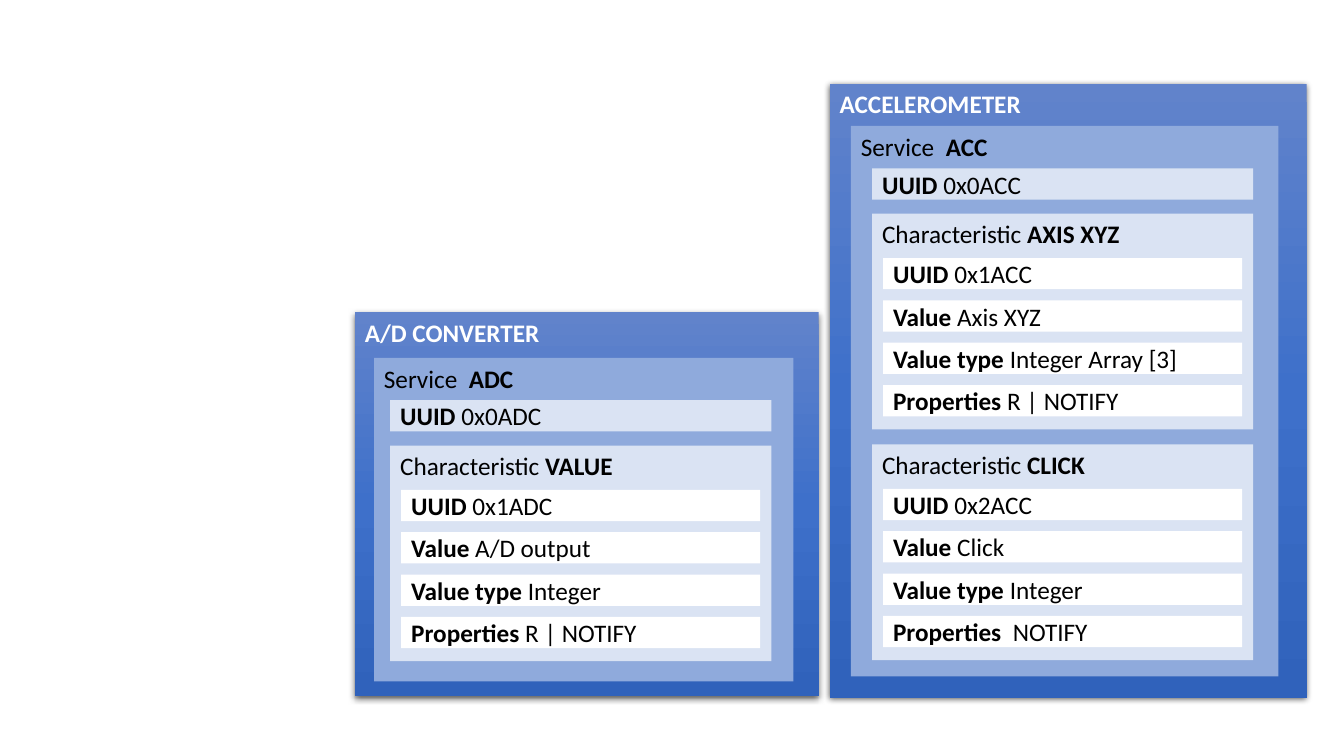
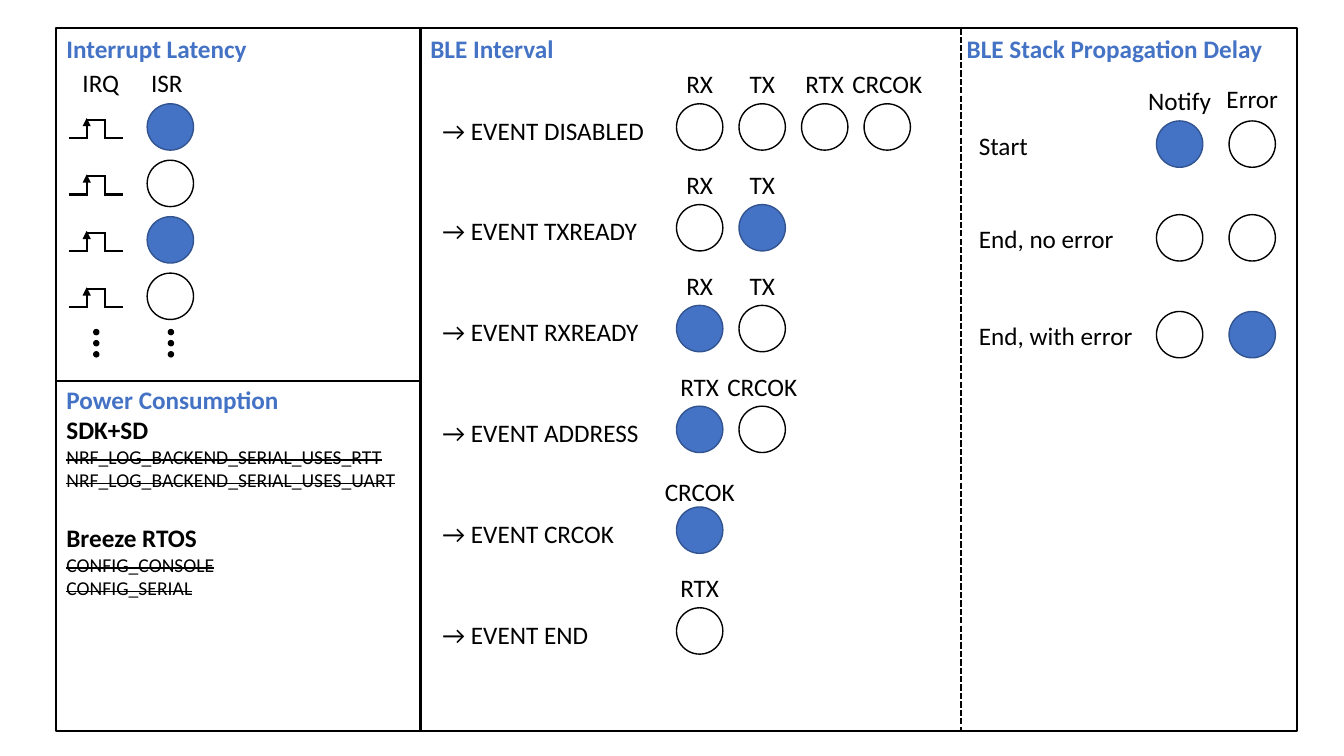
from dataclasses import dataclass

from lxml import etree
from pptx import Presentation
from pptx.dml.color import RGBColor
from pptx.enum.dml import MSO_LINE
from pptx.enum.shapes import MSO_CONNECTOR, MSO_SHAPE
from pptx.enum.text import MSO_ANCHOR, PP_ALIGN
from pptx.oxml import parse_xml
from pptx.oxml.ns import nsdecls, qn
from pptx.util import Inches, Pt

RECTANGLE, OVAL = MSO_SHAPE.RECTANGLE, MSO_SHAPE.OVAL
STRAIGHT, DASHED = MSO_CONNECTOR.STRAIGHT, MSO_LINE.SQUARE_DOT
TOP, MIDDLE = MSO_ANCHOR.TOP, MSO_ANCHOR.MIDDLE
LEFT, CENTER = PP_ALIGN.LEFT, PP_ALIGN.CENTER


@dataclass(frozen=True)
class Theme:
    font: str = "Calibri"
    body: int = 18
    small: int = 14
    black: str = "000000"
    white: str = "FFFFFF"
    accent: str = "4472C4"
    accent_edge: str = "325491"
    service: str = "8FAADC"
    characteristic: str = "DAE3F3"
    gradient: tuple = ((0, "6183CB"), (50, "3E70CA"), (100, "3062BB"))
    frame_width: float = 1.5
    lamp_width: float = 1


THEME = Theme()
BOLD = {"bold": True}
HEADING = {"bold": True, "color": THEME.accent}
STRUCK = {"size": THEME.small, "strike": True}

DEVICES = [
    {
        "name": "ACCELEROMETER", "box": (8.23, 0.83, 4.73, 6.09),
        "service": ("ACC", (8.44, 1.25, 4.24, 5.46)),
        "uuid": " 0x0ACC", "inner_left": 8.65,
        "characteristics": [
            ("AXIS XYZ", " 0x1ACC", "Axis XYZ", "Integer Array [3]", "R | NOTIFY"),
            ("CLICK", " 0x2ACC", "Click", "Integer", " NOTIFY"),
        ],
    },
    {
        "name": "A/D CONVERTER", "box": (3.52, 3.1, 4.6, 3.81),
        "service": ("ADC", (3.71, 3.55, 4.16, 3.21)),
        "uuid": " 0x0ADC", "inner_left": 3.87,
        "characteristics": [
            ("VALUE", " 0x1ADC", "A/D output", "Integer", "R | NOTIFY"),
        ],
    },
]
FIELD_NAMES = ("UUID", "Value ", "Value type ", "Properties ")

POWER_TEXT = [
    [("Power Consumption", HEADING)],
    [("SDK+SD", BOLD)],
    [("NRF_LOG_BACKEND_SERIAL_USES_RTT", STRUCK)],
    [("NRF_LOG_BACKEND_SERIAL_USES_UART", STRUCK)],
    [("Breeze RTOS", BOLD)],
    [("CONFIG_CONSOLE", STRUCK)],
    [("CONFIG_SERIAL", STRUCK)],
]
POWER_GAP = (4, 22)
PANELS = [
    ((0.56, 3.76, 3.61, 3.49), POWER_TEXT),
    ((4.17, 0.28, 8.69, 6.97), [[("BLE Interval", HEADING)]]),
    ((0.56, 0.28, 3.61, 3.5), [[("Interrupt Latency", HEADING)]]),
]
INTERRUPT_LAMPS = (True, False, True, False)
PULSE = [
    ((0, 0.34), (0.18, 0.34)),
    ((0.36, 0.15), (0.36, 0.35)),
    ((0.18, 0.16), (0.37, 0.16)),
    ((0.36, 0.34), (0.54, 0.34)),
]
PULSE_RISE = ((0.18, 0.35), (0.18, 0.14))
EVENTS = [
    ("DISABLED", 0.4, [("RX", False), ("TX", False), ("RTX", False), ("CRCOK", False)]),
    ("TXREADY", 0.4, [("RX", False), ("TX", True)]),
    ("RXREADY", 0.4, [("RX", True), ("TX", False)]),
    ("ADDRESS", 0.4, [("RTX", True), ("CRCOK", False)]),
    ("CRCOK", 0.35, [("CRCOK", True)]),
    ("END", 0.4, [("RTX", False)]),
]
DELAY_COLUMNS = [("Notify", 11.47, 0.8), ("Error", 12.19, 0.78)]
DELAY_ROWS = [
    ("Start", 1.2, (True, False)),
    ("End, no error", 2.13, (False, False)),
    ("End, with error", 3.09, (False, True)),
]
LAMP = 0.46
DOT = 0.05
FIRST_LAMP_TOP = 1.03


def rgb(value):
    return RGBColor.from_string(value)


def write(shape, paragraphs, color=THEME.black, anchor=TOP, align=LEFT, wrap=True):
    frame = shape.text_frame
    frame.word_wrap = wrap
    frame.vertical_anchor = anchor
    for index, runs in enumerate(paragraphs):
        paragraph = frame.paragraphs[0] if index == 0 else frame.add_paragraph()
        paragraph.alignment = align
        for text, style in runs:
            run = paragraph.add_run()
            run.text = text
            run.font.color.rgb = rgb(style.get("color", color))
            settings = {
                "name": THEME.font,
                "size": Pt(style.get("size", THEME.body)),
                "bold": style.get("bold", False),
            }
            for name, value in settings.items():
                setattr(run.font, name, value)
            if style.get("strike"):
                run.font._element.set("strike", "sngStrike")


def add_box(slide, box, fill, line=None, kind=RECTANGLE, width=THEME.frame_width):
    shape = slide.shapes.add_shape(kind, *map(Inches, box))
    shape.shadow.inherit = False
    shape.fill.solid()
    shape.fill.fore_color.rgb = rgb(fill)
    if line:
        shape.line.color.rgb = rgb(line)
        shape.line.width = Pt(width)
    else:
        shape.line.fill.background()
    return shape


def add_label(slide, box, text, style=None, align=LEFT):
    label = slide.shapes.add_textbox(*map(Inches, box))
    write(label, [[(text, style or {})]], align=align, wrap=False)


def add_line(slide, start, end, dash=None, arrow=False):
    connector = slide.shapes.add_connector(STRAIGHT, *map(Inches, start + end))
    connector.line.color.rgb = rgb(THEME.black)
    connector.line.width = Pt(THEME.frame_width)
    if dash:
        connector.line.dash_style = dash
    properties = connector._element.spPr
    if arrow:
        etree.SubElement(properties.find(qn("a:ln")), qn("a:tailEnd"), type="triangle")
    etree.SubElement(properties, qn("a:effectLst"))


def add_lamp(slide, left, top, lit):
    fill, edge = (THEME.accent, THEME.accent_edge) if lit else (THEME.white, THEME.black)
    add_box(slide, (left, top, LAMP, LAMP), fill, edge, OVAL, THEME.lamp_width)


def add_lamp_label(slide, lamp_left, top, text):
    width = 0.9
    left = lamp_left + (LAMP - width) / 2
    add_label(slide, (left, top, width, 0.4), text, align=CENTER)


def style_device(shape):
    properties = shape._element.spPr
    stops = "".join(
        f'<a:gs pos="{position * 1000}"><a:srgbClr val="{color}"/></a:gs>'
        for position, color in THEME.gradient
    )
    gradient = parse_xml(
        f'<a:gradFill {nsdecls("a")} rotWithShape="1"><a:gsLst>{stops}</a:gsLst>'
        '<a:lin ang="5400000" scaled="0"/></a:gradFill>'
    )
    properties.replace(properties.find(qn("a:solidFill")), gradient)
    shadow = parse_xml(
        f'<a:outerShdw {nsdecls("a")} blurRad="{Pt(4.5)}" dist="{Pt(1.5)}" dir="5400000" '
        f'algn="ctr" rotWithShape="0"><a:srgbClr val="{THEME.black}">'
        '<a:alpha val="63000"/></a:srgbClr></a:outerShdw>'
    )
    properties.find(qn("a:effectLst")).append(shadow)


def add_field(slide, left, top, width, fill, name, value):
    shape = add_box(slide, (left, top, width, 0.31), fill)
    write(shape, [[(name, BOLD), (value, {})]], anchor=MIDDLE)


def add_device(slide, device):
    outer = add_box(slide, device["box"], THEME.accent)
    style_device(outer)
    write(outer, [[(device["name"], BOLD)]], color=THEME.white)

    service_name, service_box = device["service"]
    service = add_box(slide, service_box, THEME.service)
    write(service, [[("Service  ", {}), (service_name, BOLD)]])

    left, top = device["inner_left"], service_box[1]
    add_field(slide, left, top + 0.42, 3.78, THEME.characteristic, "UUID", device["uuid"])
    for index, (name, *values) in enumerate(device["characteristics"]):
        block_top = top + 0.87 + index * 2.29
        block = add_box(slide, (left, block_top, 3.78, 2.14), THEME.characteristic)
        write(block, [[("Characteristic ", {}), (name, BOLD)]])
        for row, (field, value) in enumerate(zip(FIELD_NAMES, values)):
            field_top = block_top + 0.44 + row * 0.42
            add_field(slide, left + 0.11, field_top, 3.56, THEME.white, field, value)


def add_interrupts(slide):
    pulse_left, lamp_left = 0.68, 1.46
    add_label(slide, (0.72, 0.62, 0.57, 0.4), "IRQ")
    add_label(slide, (1.4, 0.62, 0.52, 0.4), "ISR")
    for index, lit in enumerate(INTERRUPT_LAMPS):
        top = FIRST_LAMP_TOP + index * 0.56
        add_lamp(slide, lamp_left, top, lit)
        for segment in PULSE + [PULSE_RISE]:
            start, end = [(pulse_left + x, top + y) for x, y in segment]
            add_line(slide, start, end, arrow=segment is PULSE_RISE)
    for left in (0.93, 1.67):
        for index in range(3):
            box = (left, 3.27 + index * 0.11, DOT, DOT)
            add_box(slide, box, THEME.black, THEME.black, OVAL, THEME.lamp_width)


def add_events(slide):
    for row, (name, label_rise, lamps) in enumerate(EVENTS):
        top = FIRST_LAMP_TOP + row
        add_label(slide, (4.29, top + 0.06, 2.2, 0.4), f"→ EVENT {name}")
        for column, (text, lit) in enumerate(lamps):
            left = 6.71 + column * 0.62
            add_lamp(slide, left, top, lit)
            add_lamp_label(slide, left, top - label_rise, text)


def add_delays(slide):
    add_line(slide, (9.53, 0.28), (9.53, 7.25), dash=DASHED)
    add_label(slide, (9.49, 0.28, 3.3, 0.4), "BLE Stack Propagation Delay", HEADING)
    for text, left, top in DELAY_COLUMNS:
        add_lamp_label(slide, left, top, text)
    for text, top, lamps in DELAY_ROWS:
        add_label(slide, (9.61, top + 0.04, 1.74, 0.4), text)
        for (_, left, _), lit in zip(DELAY_COLUMNS, lamps):
            add_lamp(slide, left, top, lit)


def add_panels(slide):
    for box, paragraphs in PANELS:
        panel = add_box(slide, box, THEME.white, THEME.black)
        write(panel, paragraphs)
        if paragraphs is POWER_TEXT:
            index, gap = POWER_GAP
            panel.text_frame.paragraphs[index].space_before = Pt(gap)


def main():
    presentation = Presentation()
    presentation.slide_width = Inches(13.33)
    presentation.slide_height = Inches(7.5)
    blank = presentation.slide_layouts[6]

    services_slide = presentation.slides.add_slide(blank)
    for device in DEVICES:
        add_device(services_slide, device)

    signals_slide = presentation.slides.add_slide(blank)
    for build in (add_panels, add_interrupts, add_events, add_delays):
        build(signals_slide)

    presentation.save("out.pptx")


if __name__ == "__main__":
    main()
